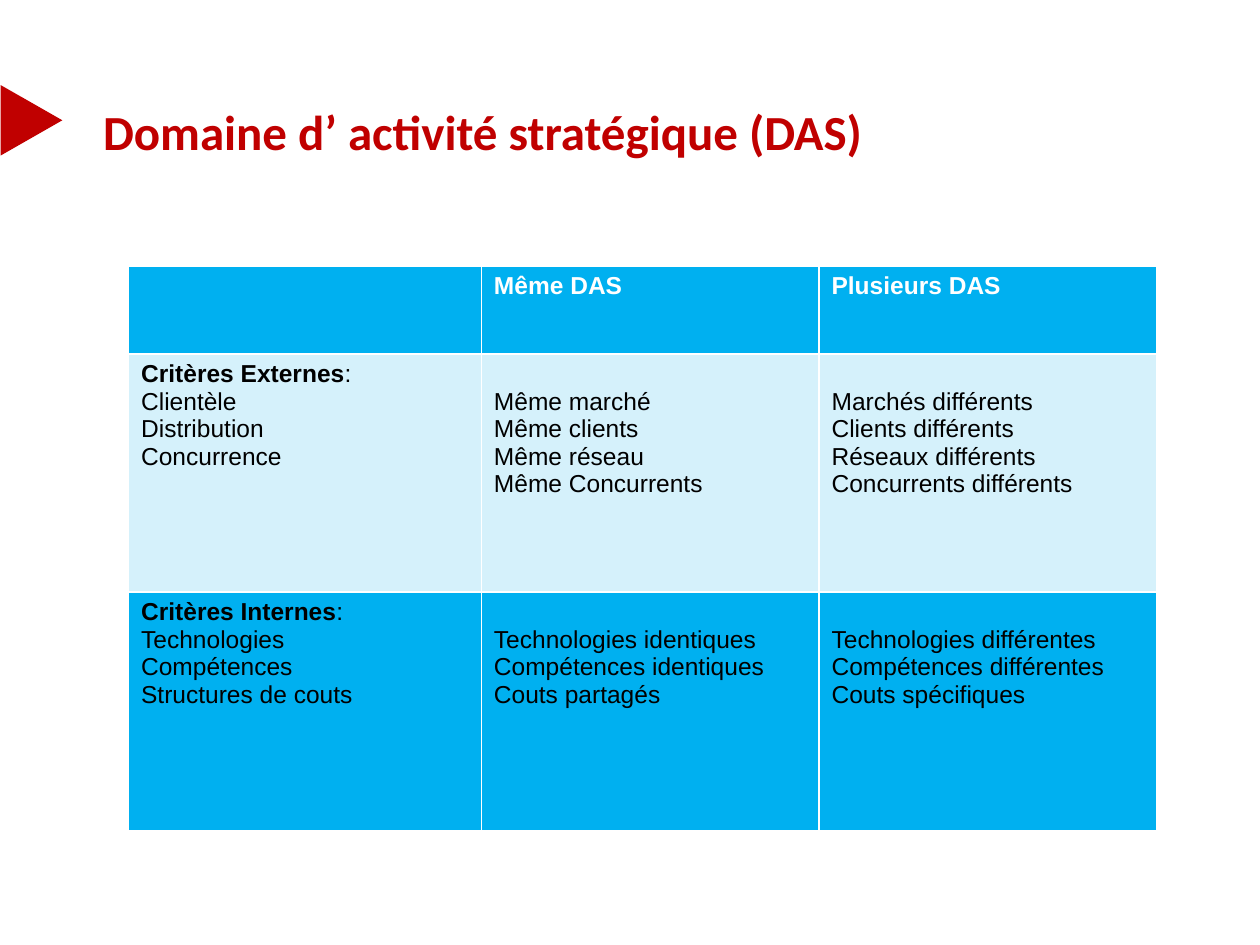
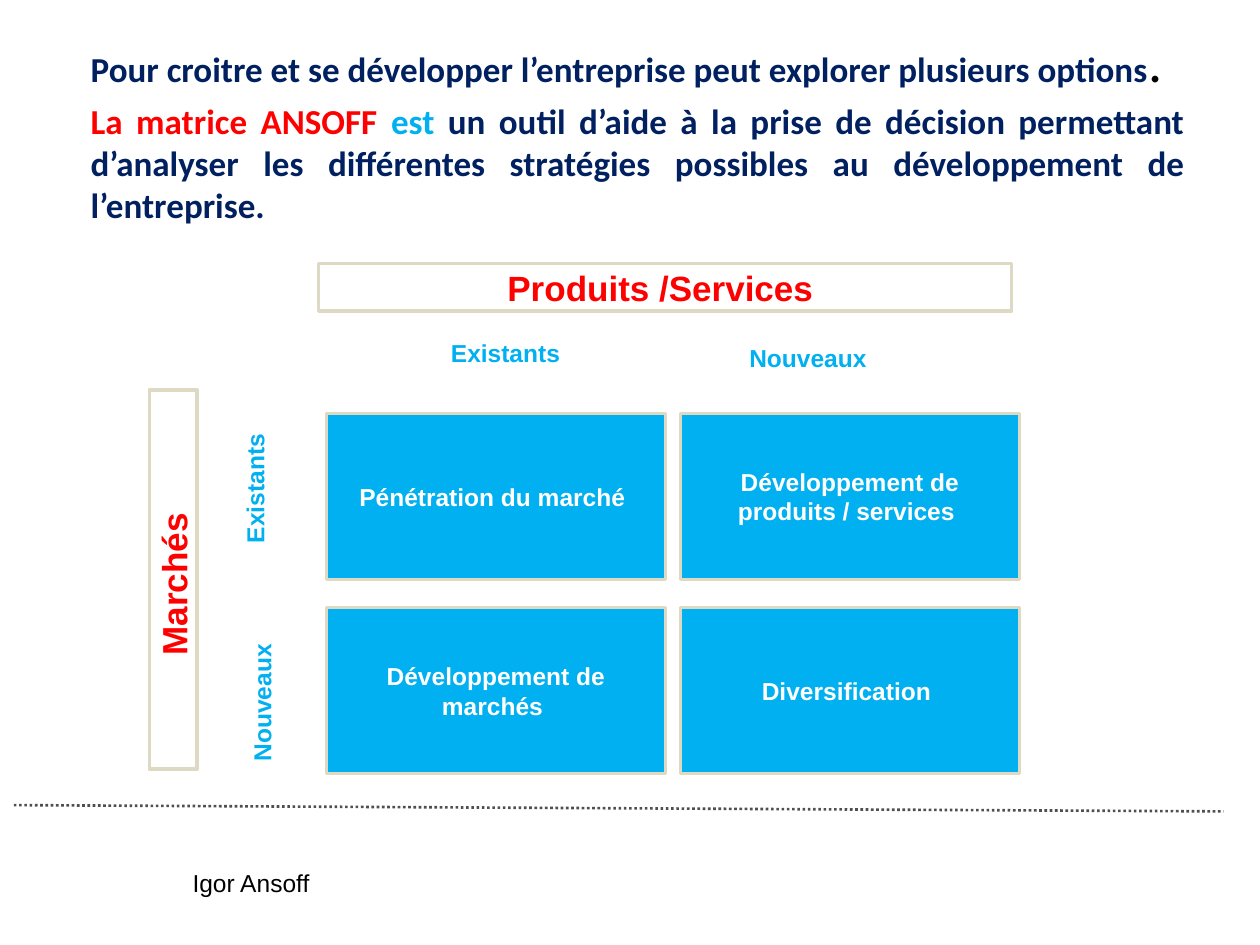
from pptx import Presentation
from pptx.dml.color import RGBColor
from pptx.enum.dml import MSO_LINE
from pptx.enum.shapes import MSO_CONNECTOR, MSO_SHAPE
from pptx.enum.text import MSO_ANCHOR, PP_ALIGN
from pptx.util import Inches, Pt
from lxml.etree import SubElement
from pptx.oxml.ns import qn

WHITE = RGBColor(0xFF, 0xFF, 0xFF)
BLACK = RGBColor(0, 0, 0)
CRIMSON = RGBColor(0xC0, 0, 0)
RED = RGBColor(0xFF, 0, 0)
SKY = RGBColor(0x00, 0xB0, 0xF0)
PALE = RGBColor(0xD5, 0xF1, 0xFB)
NAVY = RGBColor(0x00, 0x20, 0x60)
SAND = RGBColor(0xDD, 0xD9, 0xC3)
SLATE = RGBColor(0x4C, 0x4F, 0x54)

PLAIN = dict(name="Arial", size=Pt(14), bold=False, color=BLACK)
STRONG = PLAIN | dict(bold=True)
HEAD = STRONG | dict(color=WHITE)
LABEL = STRONG | dict(color=SKY)
AXIS = STRONG | dict(size=Pt(20), color=RED)
TITLE = dict(name="Calibri", size=Pt(28), bold=True, color=CRIMSON)
LEAD = TITLE | dict(size=Pt(20), color=NAVY)

ROWS = [
    (SKY, [[], ["Même DAS"], ["Plusieurs DAS"]]),
    (PALE, [
        ["Critères Externes", "Clientèle", "Distribution", "Concurrence"],
        ["Même marché", "Même clients", "Même réseau", "Même Concurrents"],
        ["Marchés différents", "Clients différents", "Réseaux différents",
         "Concurrents différents"],
    ]),
    (SKY, [
        ["Critères Internes", "Technologies", "Compétences", "Structures de couts"],
        ["Technologies identiques", "Compétences identiques", "Couts partagés"],
        ["Technologies différentes", "Compétences différentes", "Couts spécifiques"],
    ]),
]
MOVES = [
    ["Pénétration du marché ", "Développement de produits / services "],
    ["Développement de marchés ", "Diversification "],
]


def write(frame, paras, align=PP_ALIGN.LEFT):
    """Fill a text frame with paragraphs, each a list of (text, format) runs."""
    for i, runs in enumerate(paras):
        para = frame.add_paragraph() if i else frame.paragraphs[0]
        para.alignment = align
        for text, form in runs:
            run = para.add_run()
            run.text = text
            for key, value in form.items():
                if key == "color":
                    run.font.color.rgb = value
                else:
                    setattr(run.font, key, value)


def add_text(slide, box, paras, align=PP_ALIGN.LEFT, turn=0):
    """Add a wrapping text box and return its frame."""
    shape = slide.shapes.add_textbox(*map(Inches, box))
    shape.rotation = turn
    shape.text_frame.word_wrap = True
    write(shape.text_frame, paras, align)
    return shape.text_frame


def add_block(slide, box, text, form, fill=None, turn=0):
    """Add a sand-edged rectangle with centred text."""
    shape = slide.shapes.add_shape(MSO_SHAPE.RECTANGLE, *map(Inches, box))
    shape.shadow.inherit = False
    shape.rotation = turn
    if fill is None:
        shape.fill.background()
    else:
        shape.fill.solid()
        shape.fill.fore_color.rgb = fill
    shape.line.color.rgb = SAND
    shape.line.width = Pt(2)
    frame = shape.text_frame
    frame.word_wrap = True
    frame.vertical_anchor = MSO_ANCHOR.MIDDLE
    write(frame, [[(text, form)]], PP_ALIGN.CENTER)


def add_title(slide, box, text):
    """Add the slide title and the red marker at the left edge."""
    left, top = box[:2]
    mark = slide.shapes.add_shape(
        MSO_SHAPE.ISOSCELES_TRIANGLE,
        *map(Inches, (left - 0.75, top - 0.05, 0.56, 0.49)))
    mark.shadow.inherit = False
    mark.rotation = 90
    mark.fill.solid()
    mark.fill.fore_color.rgb = CRIMSON
    mark.line.fill.background()
    add_text(slide, box, [[(text, TITLE)]])


def fill_cell(cell, lines, row, col):
    """Write one cell by its place in the table."""
    if row == 0:
        paras = [[(line, HEAD)] for line in lines]
    else:
        paras = [[(line, PLAIN)] for line in lines]
        if col == 0:
            paras[0] = [(lines[0], STRONG), (":", PLAIN)]
        else:
            cell.margin_top = Inches(0.27)
    write(cell.text_frame, paras)


def add_grid(slide, box):
    """Add the table of criteria."""
    table = slide.shapes.add_table(3, 3, *map(Inches, box)).table
    for col, width in zip(table.columns, (2.8, 2.68, 2.68)):
        col.width = Inches(width)
    for row, height in zip(table.rows, (0.7, 1.89, 1.89)):
        row.height = Inches(height)
    for r, (fill, cells) in enumerate(ROWS):
        for c, lines in enumerate(cells):
            cell = table.cell(r, c)
            cell.fill.solid()
            cell.fill.fore_color.rgb = fill
            fill_cell(cell, lines, r, c)


def add_intro(slide, box):
    """Add the two opening paragraphs."""
    frame = add_text(slide, box, [
        [("Pour croitre et se développer l’entreprise peut explorer plusieurs options", LEAD),
         (".", LEAD | dict(size=Pt(32), bold=False, color=BLACK))],
        [("La matrice ANSOFF ", LEAD | dict(color=RED)),
         ("est ", LEAD | dict(color=SKY)),
         ("un outil d’aide à la prise de décision permettant d’analyser les "
          "différentes stratégies possibles au développement de l’entreprise.", LEAD)],
    ])
    frame.margin_left = Inches(0.22)
    last = frame.paragraphs[1]
    last.alignment = PP_ALIGN.JUSTIFY
    last.space_before = Pt(3.6)


def add_matrix(slide, left, top):
    """Add the two-by-two matrix with its axes and labels."""
    for r, row in enumerate(MOVES):
        for c, text in enumerate(row):
            box = (left + c * 2.81, top + r * 1.54, 2.69, 1.32)
            add_block(slide, box, text, HEAD, SKY)
    add_block(slide, (left - 0.06, top - 1.19, 5.5, 0.38), "Produits /Services ", AXIS)
    add_block(slide, (left - 2.72, top + 1.13, 3.01, 0.38), "Marchés ", AXIS, turn=270)
    for x, y, width, text, turn in (
        (0.57, -0.65, 1.76, "Existants ", 0),
        (2.97, -0.61, 1.76, "Nouveaux ", 0),
        (-1.14, 0.4, 1.15, "Existants ", 270),
        (-1.39, 2.1, 1.76, "Nouveaux ", 270),
    ):
        add_text(slide, (left + x, top + y, width, 0.34), [[(text, LABEL)]],
                 PP_ALIGN.CENTER, turn)


def add_foot(slide, left, top):
    """Add the dotted rule and the author's name."""
    rule = slide.shapes.add_connector(
        MSO_CONNECTOR.STRAIGHT,
        *map(Inches, (left, top, left + 9.6, top + 0.05)))
    SubElement(rule._element.spPr, qn("a:effectLst"))
    rule.line.color.rgb = SLATE
    rule.line.width = Pt(1.5)
    rule.line.dash_style = MSO_LINE.ROUND_DOT
    add_text(slide, (left + 1.32, top + 0.45, 1.73, 0.34), [[("Igor Ansoff", PLAIN)]])


def main():
    """Build and save both slides."""
    deck = Presentation()
    deck.slide_width, deck.slide_height = Inches(10), Inches(7.5)
    blank = deck.slide_layouts[6]

    slide = deck.slides.add_slide(blank)
    add_title(slide, (0.72, 0.76, 6.56, 0.57), "Domaine d’ activité stratégique (DAS)")
    add_grid(slide, (1.02, 2.11, 8.16, 4.48))

    slide = deck.slides.add_slide(blank)
    add_intro(slide, (0.5, 0.16, 9, 6.4))
    add_matrix(slide, 2.59, 3.28)
    add_foot(slide, 0.11, 6.39)
    deck.save("out.pptx")


if __name__ == "__main__":
    main()
